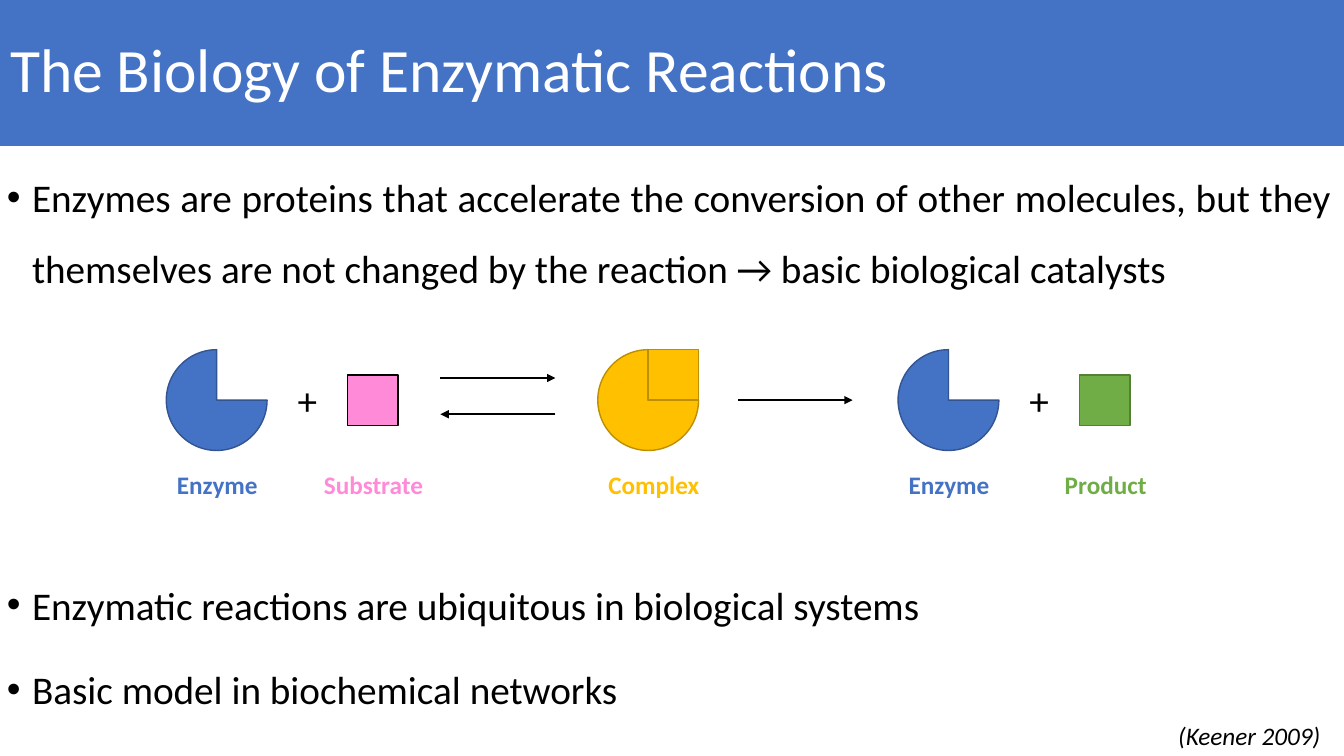
from lxml import etree
from pptx import Presentation
from pptx.dml.color import RGBColor
from pptx.enum.shapes import MSO_CONNECTOR, MSO_SHAPE
from pptx.enum.text import MSO_ANCHOR, PP_ALIGN
from pptx.oxml.ns import qn
from pptx.util import Pt

PIE, SQUARE = MSO_SHAPE.PIE, MSO_SHAPE.RECTANGLE
STRAIGHT = MSO_CONNECTOR.STRAIGHT
MIDDLE = MSO_ANCHOR.MIDDLE
LEFT, CENTER, JUSTIFY = PP_ALIGN.LEFT, PP_ALIGN.CENTER, PP_ALIGN.JUSTIFY

# Content
TITLE = "The Biology of Enzymatic Reactions"
BULLETS = [  # text, space before
    ("Enzymes are proteins that accelerate the conversion of other molecules, "
     "but they themselves are not changed by the reaction → basic biological catalysts", 0),
    ("Enzymatic reactions are ubiquitous in biological systems", 190),
    ("Basic model in biochemical networks", 10),
]
CITATION = "(Keener 2009)"
SPECIES = [  # label, colour key, centre x, label centre x, label width
    ("Enzyme", "enzyme", 154.8, 155.2, 72.7),
    ("Substrate", "substrate", 266.4, 266.8, 85.7),
    ("Complex", "complex", 463, 467, 80),
    ("Enzyme", "enzyme", 677.5, 677.9, 72.7),
    ("Product", "product", 789.1, 789.8, 73.4),
]
PLUS_CENTERS = [219.6, 742.3]
ARROWS = [  # start x, end x, offset from the reaction axis
    (314.6, 396.7, -15.8),
    (396.7, 314.6, 10.1),
    (527, 609.1, 0),
]

THEME = {
    "font": "Calibri",
    "title_size": 44, "body_size": 28, "label_size": 18,
    "banner": "4472C4", "on_banner": "FFFFFF", "text": "000000",
    "enzyme": ("4472C4", "325491"),  # fill, outline
    "substrate": ("FF8AD8", "000000"),
    "complex": ("FFC000", "BD8E00"),
    "product": ("70AD47", "538035"),
}

# Layout, in points
SLIDE_W, SLIDE_H = 960, 540
BANNER_H = 104.4
AXIS_Y = 285.8
PIE_SIZE = 72
SQUARE_SIZE = PIE_SIZE / 2
LABEL_TOP, LABEL_H = 332, 29
PLUS_W, PLUS_H = 28.8, 41
INDENT = 18


def rgb(value):
    return RGBColor.from_string(value)


def set_font(paragraph, size, color, bold=False, italic=False):
    font = paragraph.font
    font.name, font.size = THEME["font"], Pt(size)
    font.bold, font.italic = bold, italic
    font.color.rgb = rgb(color)


def paint(shape, fill, outline):
    shape.fill.solid()
    shape.fill.fore_color.rgb = rgb(fill)
    shape.line.color.rgb = rgb(outline)
    shape.line.width = Pt(1)


def add_text(slide, text, left, top, width, height, size, color, **style):
    box = slide.shapes.add_textbox(Pt(left), Pt(top), Pt(width), Pt(height))
    box.text_frame.word_wrap = False
    paragraph = box.text_frame.paragraphs[0]
    paragraph.text = text
    paragraph.alignment = CENTER
    set_font(paragraph, size, color, **style)


def add_molecule(slide, preset, left, top, size, colors):
    molecule = slide.shapes.add_shape(preset, Pt(left), Pt(top), Pt(size), Pt(size))
    molecule.shadow.inherit = False
    paint(molecule, *colors)


def add_arrow(slide, start, end, y):
    arrow = slide.shapes.add_connector(STRAIGHT, Pt(start), Pt(y), Pt(end), Pt(y))
    arrow.line.color.rgb = rgb(THEME["text"])
    arrow.line.width = Pt(1.5)
    etree.SubElement(arrow.line._get_or_add_ln(), qn("a:tailEnd"), type="triangle")
    etree.SubElement(arrow._element.spPr, qn("a:effectLst"))


def add_title(slide):
    banner = slide.shapes.title
    banner.left, banner.top = Pt(0), Pt(-0.7)
    banner.width, banner.height = Pt(SLIDE_W), Pt(BANNER_H)
    paint(banner, THEME["banner"], THEME["banner"])
    banner.text_frame.text = TITLE
    banner.text_frame.vertical_anchor = MIDDLE
    paragraph = banner.text_frame.paragraphs[0]
    paragraph.alignment = LEFT
    paragraph.line_spacing = 0.9
    set_font(paragraph, THEME["title_size"], THEME["on_banner"])


def add_bullets(slide):
    body = slide.shapes.add_textbox(Pt(-2.2), Pt(BANNER_H - 0.7), Pt(SLIDE_W),
                                    Pt(SLIDE_H - BANNER_H + 0.7))
    frame = body.text_frame
    frame.word_wrap = True
    for index, (text, space_before) in enumerate(BULLETS):
        paragraph = frame.add_paragraph() if index else frame.paragraphs[0]
        paragraph.text = text
        paragraph.alignment = JUSTIFY
        paragraph.line_spacing = 1.5
        paragraph.space_before = Pt(space_before)
        properties = paragraph._p.get_or_add_pPr()
        properties.set("marL", str(Pt(INDENT)))
        properties.set("indent", str(-Pt(INDENT)))
        etree.SubElement(properties, qn("a:buFont"), typeface="Arial")
        etree.SubElement(properties, qn("a:buChar"), char="•")
        set_font(paragraph, THEME["body_size"], THEME["text"])


def add_reaction(slide):
    pie_top = AXIS_Y - PIE_SIZE / 2
    for label, key, center, label_center, label_w in SPECIES:
        colors = THEME[key]
        if key in ("enzyme", "complex"):
            add_molecule(slide, PIE, center - PIE_SIZE / 2, pie_top, PIE_SIZE, colors)
        if key == "complex":  # bound substrate fills the open quarter
            add_molecule(slide, SQUARE, center, pie_top, SQUARE_SIZE, colors)
        elif key != "enzyme":
            add_molecule(slide, SQUARE, center - SQUARE_SIZE / 2,
                         AXIS_Y - SQUARE_SIZE / 2, SQUARE_SIZE, colors)
        add_text(slide, label, label_center - label_w / 2, LABEL_TOP, label_w, LABEL_H,
                 THEME["label_size"], colors[0], bold=True)
    for center in PLUS_CENTERS:
        add_text(slide, "+", center - PLUS_W / 2, AXIS_Y - PLUS_H / 2, PLUS_W, PLUS_H,
                 THEME["body_size"], THEME["text"])
    for start, end, offset in ARROWS:
        add_arrow(slide, start, end, AXIS_Y + offset)


def main():
    deck = Presentation()
    deck.slide_width, deck.slide_height = Pt(SLIDE_W), Pt(SLIDE_H)
    slide = deck.slides.add_slide(deck.slide_layouts[5])
    add_title(slide)
    add_bullets(slide)
    add_reaction(slide)
    add_text(slide, CITATION, 833, SLIDE_H - LABEL_H, 118.8, LABEL_H,
             THEME["label_size"], THEME["text"], italic=True)
    deck.save("out.pptx")


if __name__ == "__main__":
    main()
